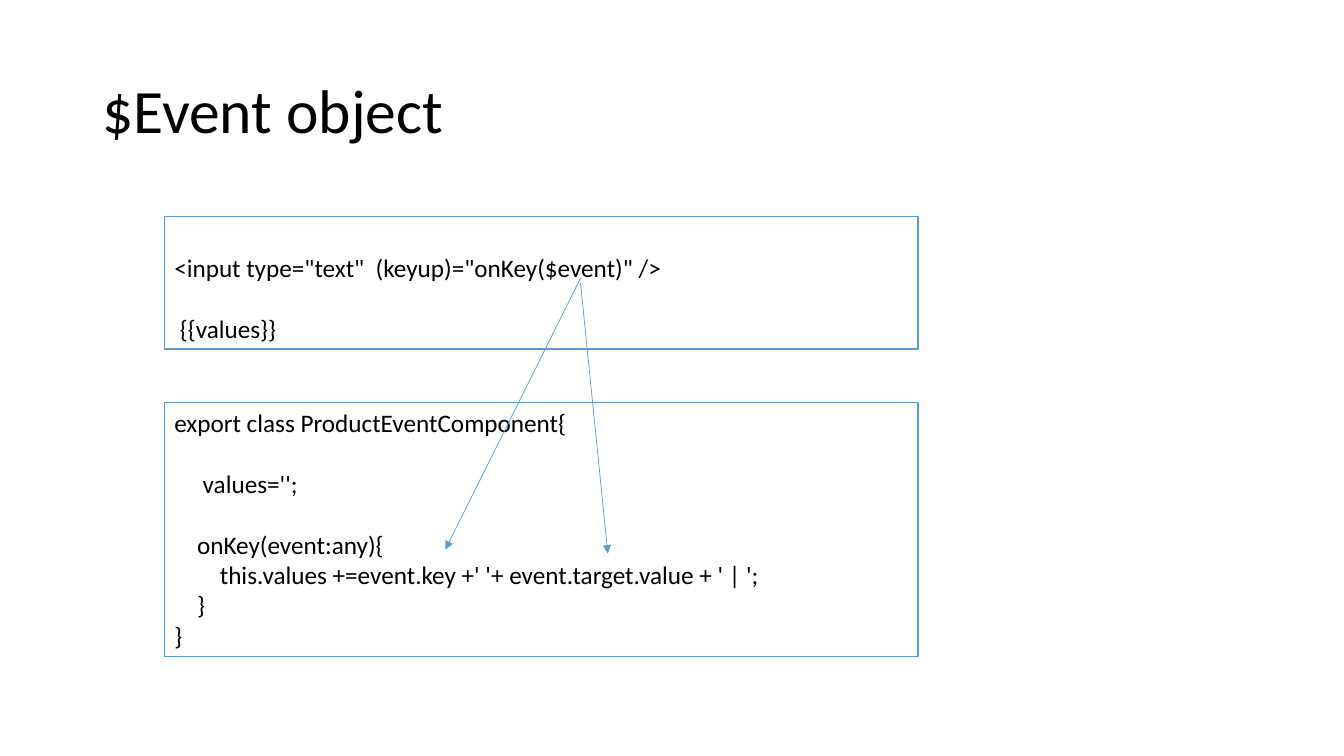
import pptx
import pptx.util
import pptx.dml.color
import pptx.enum.shapes
import pptx.enum.text
import pptx.oxml.ns
import lxml.etree

Pt = pptx.util.Pt
RGB = pptx.dml.color.RGBColor.from_string
THEME = {
    "font": "Calibri", "text": RGB("000000"), "paper": RGB("FFFFFF"),
    "accent": RGB("5B9BD5"), "title": Pt(44), "code": Pt(18),
}
LINE = 22  # height of one line of code
SPACE = 4.07  # width of one space in code


def style(p, size):
    p.font.name = THEME["font"]
    p.font.size = size
    p.font.color.rgb = THEME["text"]
    p.alignment = pptx.enum.text.PP_ALIGN.LEFT


prs = pptx.Presentation()
prs.slide_width, prs.slide_height = Pt(960), Pt(540)
s = prs.slides.add_slide(prs.slide_layouts[6])

# Title
sp = s.shapes.add_textbox(Pt(66), Pt(28.8), Pt(828), Pt(104.4))
tf = sp.text_frame
tf.word_wrap = True
tf.vertical_anchor = pptx.enum.text.MSO_ANCHOR.MIDDLE
p = tf.paragraphs[0]
p.text = "$Event object"
p.line_spacing = 0.9
style(p, THEME["title"])

# Code boxes: top, height, then lines as (empty lines above, indent in spaces, text)
template = [
    (1, 0, '<input type="text"  (keyup)="onKey($event)" />'),
    (1, 1, "{{values}}"),
]
component = [
    (0, 0, "export class ProductEventComponent{"),
    (1, 5, "values='';"),
    (1, 4, "onKey(event:any){"),
    (0, 8, "this.values +=event.key +' '+ event.target.value + ' | ';"),
    (0, 4, "}"),
    (0, 0, "}"),
]
for top, height, lines in [(154.8, 94.5), ] and [(154.8, 94.5, template), (287.3, 181.5, component)]:
    sp = s.shapes.add_shape(pptx.enum.shapes.MSO_SHAPE.RECTANGLE,
                            Pt(117.4), Pt(top), Pt(538.4), Pt(height))
    sp.shadow.inherit = False
    sp.fill.solid()
    sp.fill.fore_color.rgb = THEME["paper"]
    sp.line.color.rgb = THEME["accent"]
    sp.line.width = Pt(1)
    tf = sp.text_frame
    tf.word_wrap = True
    tf.vertical_anchor = pptx.enum.text.MSO_ANCHOR.TOP
    tf.margin_top = Pt(3.6 + lines[0][0] * LINE)
    for i, (gap, indent, text) in enumerate(lines):
        p = tf.add_paragraph() if i else tf.paragraphs[0]
        p.text = text
        style(p, THEME["code"])
        if i:
            p.space_before = Pt(gap * LINE)
        pPr = p._p.get_or_add_pPr()
        pPr.set("marL", str(Pt(indent * SPACE)))
        pPr.set("indent", "0")

# Arrows from $event to its uses
for x1, y1, x2, y2 in [(414.7, 198.7, 318.2, 392.4), (414.7, 202.3, 434.2, 395.3)]:
    c = s.shapes.add_connector(pptx.enum.shapes.MSO_CONNECTOR.STRAIGHT,
                               Pt(x1), Pt(y1), Pt(x2), Pt(y2))
    c.line.color.rgb = THEME["accent"]
    c.line.width = Pt(0.5)
    ln = c.line._get_or_add_ln()
    lxml.etree.SubElement(ln, pptx.oxml.ns.qn("a:tailEnd"), type="triangle")
    lxml.etree.SubElement(c._element.spPr, pptx.oxml.ns.qn("a:effectLst"))

prs.save("out.pptx")
